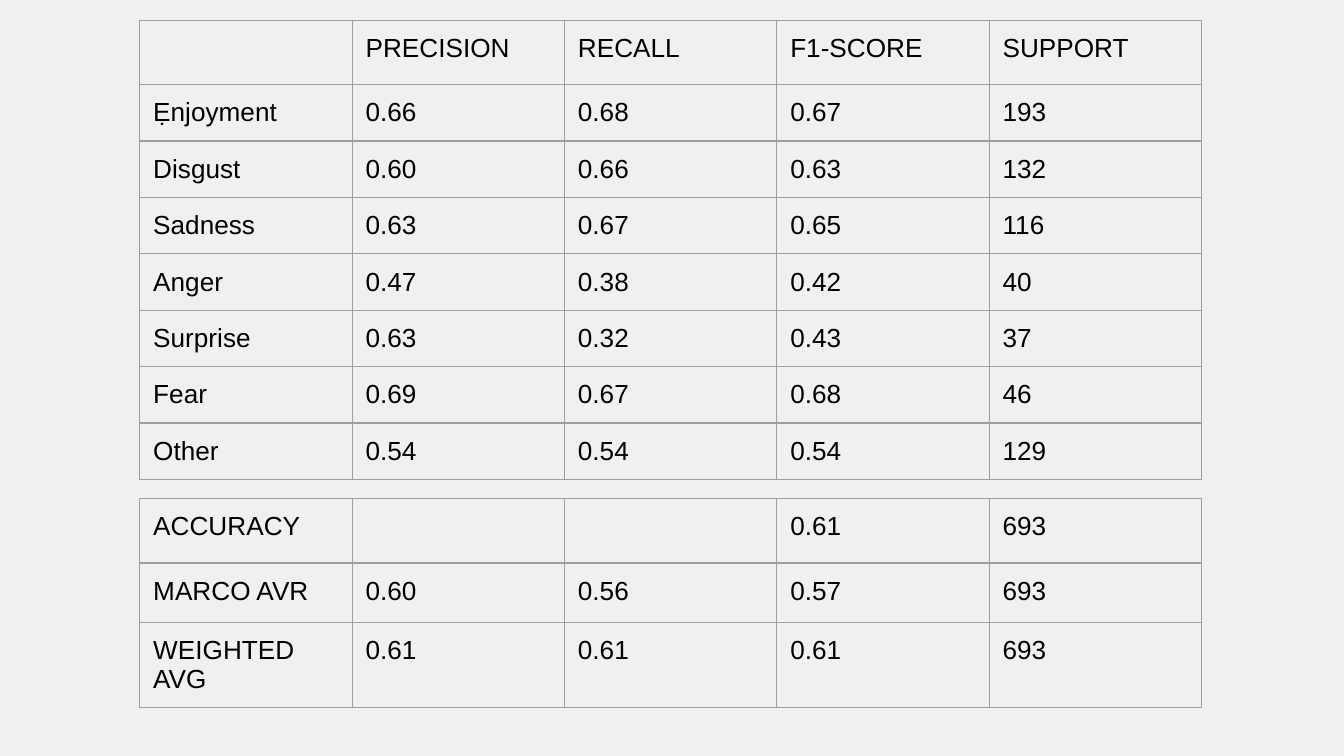
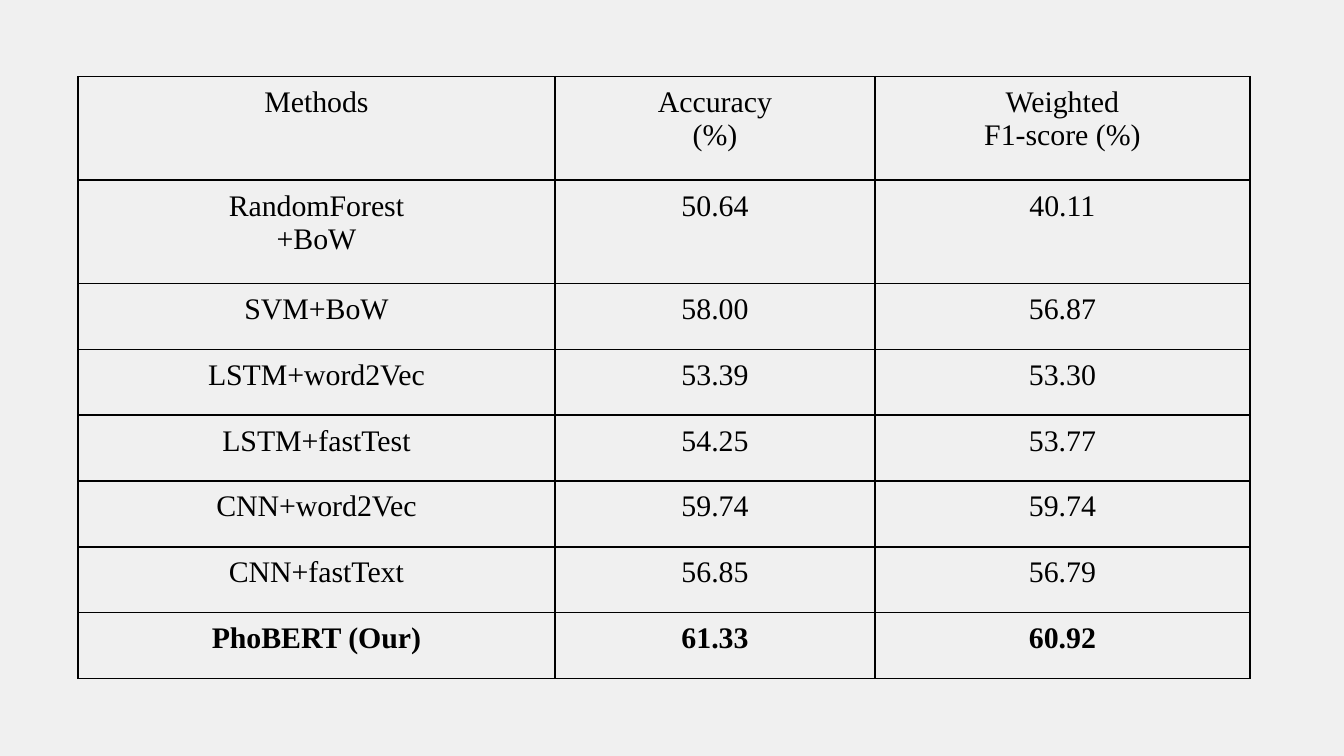
"""Build two slides of emotion classification results."""
from lxml import etree
from pptx import Presentation
from pptx.dml.color import RGBColor
from pptx.enum.text import PP_ALIGN
from pptx.oxml.ns import qn
from pptx.util import Inches, Pt

LEFT, CENTER = PP_ALIGN.LEFT, PP_ALIGN.CENTER
BACKGROUND = RGBColor(0xF0, 0xF0, 0xF0)
BLACK = RGBColor(0x00, 0x00, 0x00)
GRAY = RGBColor(0x9E, 0x9E, 0x9E)

REPORT = {"font": "Arial", "size": 14, "align": LEFT, "inset": 0.1,
          "border": GRAY, "weight": 0.75}
COMPARISON = {"font": "Times New Roman", "size": 16, "align": CENTER,
              "inset": 0.07, "border": BLACK, "weight": 1}

REPORT_COLS = [1.58] * 5
CLASS_ROWS = [
    ("", "PRECISION", "RECALL", "F1-SCORE", "SUPPORT"),
    ("Ẹnjoyment", "0.66", "0.68", "0.67", "193"),
    ("Disgust", "0.60", "0.66", "0.63", "132"),
    ("Sadness", "0.63", "0.67", "0.65", "116"),
    ("Anger", "0.47", "0.38", "0.42", "40"),
    ("Surprise", "0.63", "0.32", "0.43", "37"),
    ("Fear", "0.69", "0.67", "0.68", "46"),
    ("Other", "0.54", "0.54", "0.54", "129"),
]
AVERAGE_ROWS = [
    ("ACCURACY", "", "", "0.61", "693"),
    ("MARCO AVR", "0.60", "0.56", "0.57", "693"),
    ("WEIGHTED AVG", "0.61", "0.61", "0.61", "693"),
]
METHOD_ROWS = [
    ("Methods", "Accuracy\n(%)", "Weighted\nF1-score (%)"),
    ("RandomForest\n+BoW", "50.64", "40.11"),
    ("SVM+BoW", "58.00", "56.87"),
    ("LSTM+word2Vec", "53.39", "53.30"),
    ("LSTM+fastTest", "54.25", "53.77"),
    ("CNN+word2Vec", "59.74", "59.74"),
    ("CNN+fastText", "56.85", "56.79"),
    ("PhoBERT (Our)", "61.33", "60.92"),
]


class Deck:
    """Hold the presentation, its style and the current slide."""

    def __init__(self):
        self.prs = Presentation()
        self.prs.slide_width = Inches(10)
        self.prs.slide_height = Inches(10) * 9 // 16
        self.s = None

    def slide(self):
        """Start a blank slide with the shared background."""
        self.s = self.prs.slides.add_slide(self.prs.slide_layouts[6])
        fill = self.s.background.fill
        fill.solid()
        fill.fore_color.rgb = BACKGROUND

    def border(self, cell, style):
        """Outline all four sides of a cell."""
        tc_pr = cell._tc.get_or_add_tcPr()
        for side in ("lnL", "lnR", "lnT", "lnB"):
            ln = etree.SubElement(tc_pr, qn(f"a:{side}"), w=str(Pt(style["weight"])))
            fill = etree.SubElement(ln, qn("a:solidFill"))
            etree.SubElement(fill, qn("a:srgbClr"), val=str(style["border"]))

    def text(self, cell, text, style, bold):
        """Write one paragraph per line of text into a cell."""
        tf = cell.text_frame
        tf.text = text
        font = {"name": style["font"], "size": Pt(style["size"]), "bold": bold}
        for p in tf.paragraphs:
            p.alignment = style["align"]
            for r in p.runs:
                for name, value in font.items():
                    setattr(r.font, name, value)
                r.font.color.rgb = BLACK
            if not p.runs:
                etree.SubElement(p._p, qn("a:endParaRPr"), sz=str(style["size"] * 100))

    def table(self, left, top, cols, heights, rows, style, bold_row=None):
        """Add a bordered table without fill."""
        frame = self.s.shapes.add_table(
            len(rows), len(cols), Inches(left), Inches(top),
            Inches(sum(cols)), Inches(sum(heights)))
        table = frame.table
        table.first_row = table.horz_banding = False
        for col, width in zip(table.columns, cols):
            col.width = Inches(width)
        for i, (row, height, texts) in enumerate(zip(table.rows, heights, rows)):
            row.height = Inches(height)
            for cell, text in zip(row.cells, texts):
                for side in ("left", "right", "top", "bottom"):
                    setattr(cell, f"margin_{side}", Inches(style["inset"]))
                self.border(cell, style)
                cell.fill.background()
                self.text(cell, text, style, i == bold_row)


def main():
    """Build and save both slides."""
    deck = Deck()
    deck.slide()
    deck.table(1.04, 0.15, REPORT_COLS, [0.48] + [0.42] * 7, CLASS_ROWS, REPORT)
    deck.table(1.04, 3.71, REPORT_COLS, [0.48, 0.44, 0.63], AVERAGE_ROWS, REPORT)
    deck.slide()
    deck.table(0.58, 0.57, [3.55, 2.38, 2.79], [0.77] * 2 + [0.49] * 6,
               METHOD_ROWS, COMPARISON, bold_row=len(METHOD_ROWS) - 1)
    deck.prs.save("out.pptx")


if __name__ == "__main__":
    main()
